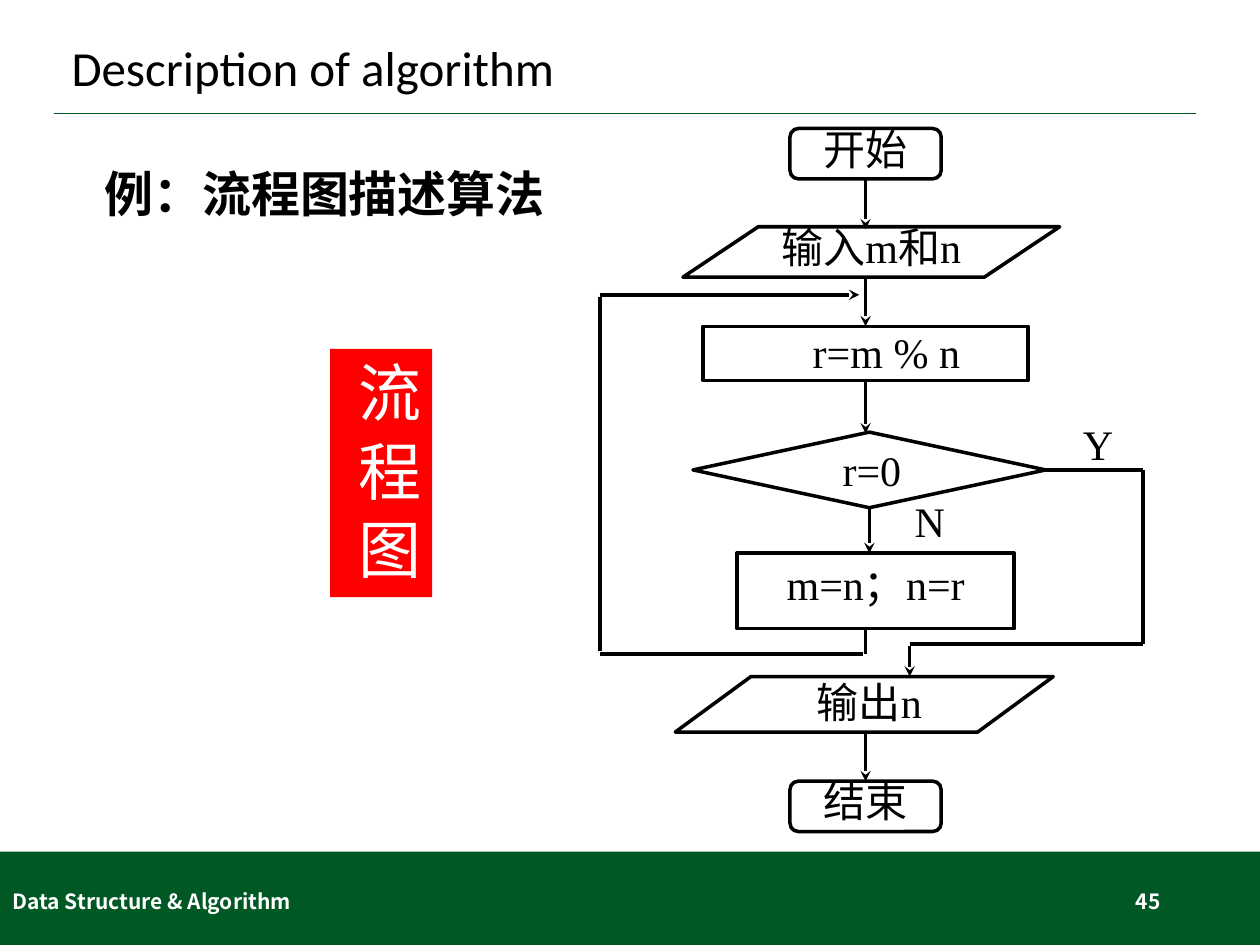
"""Build a slide showing the flowchart of the Euclidean algorithm."""
from dataclasses import dataclass
from typing import Optional

import pptx
import pptx.dml.color
import pptx.enum.shapes
import pptx.enum.text
import pptx.oxml
import pptx.oxml.ns
import pptx.util

Inches = pptx.util.Inches
Pt = pptx.util.Pt
Kind = pptx.enum.shapes.MSO_SHAPE
Align = pptx.enum.text.PP_ALIGN
Anchor = pptx.enum.text.MSO_ANCHOR

COLORS = {"green": "005825", "black": "000000", "white": "FFFFFF", "red": "FF0000"}
SERIF = "Times New Roman"
FOOTER_FONT = "Noto Sans CJK SC"
TOP, BOTTOM, RIGHT = 0, 2, 3
AXIS = 6.87
BRANCH = 6.9
OUTPUT_X = 7.22
LOOP_X = 4.76
EXIT_X = 9.07
EXIT_Y = 5.11


@dataclass
class TextStyle:
    size: float = 24
    font: str = SERIF
    color: str = "black"
    bold: bool = False
    align: Align = Align.CENTER
    anchor: Anchor = Anchor.TOP
    spacing: float = 1.0
    insets: tuple[float, float, float, float] = (0, 0, 0, 0)


@dataclass
class Label:
    text: str
    at: tuple[float, float, float, float]
    style: TextStyle


@dataclass
class Node:
    key: str
    kind: Kind
    at: tuple[float, float, float, float]
    text: str = ""
    spacing: float = 1.0
    insets: tuple[float, float, float, float] = (0.02, 0, 0.02, 0)


@dataclass
class Link:
    start: tuple[float, float]
    end: tuple[float, float]
    arrow: bool = False
    source: Optional[tuple[str, int]] = None
    target: Optional[tuple[str, int]] = None


def rgb(name: str) -> pptx.dml.color.RGBColor:
    return pptx.dml.color.RGBColor.from_string(COLORS[name])


def write_text(shape, text: str, style: TextStyle) -> None:
    frame = shape.text_frame
    frame.text = text
    frame.word_wrap = True
    frame.vertical_anchor = style.anchor
    left, top, right, bottom = style.insets
    frame.margin_left, frame.margin_top = Inches(left), Inches(top)
    frame.margin_right, frame.margin_bottom = Inches(right), Inches(bottom)
    paragraph = frame.paragraphs[0]
    paragraph.alignment = style.align
    paragraph.line_spacing = style.spacing
    for run in paragraph.runs:
        run.font.size = Pt(style.size)
        run.font.name = style.font
        run.font.bold = style.bold
        run.font.color.rgb = rgb(style.color)


def add_label(slide, label: Label) -> None:
    box = slide.shapes.add_textbox(*map(Inches, label.at))
    write_text(box, label.text, label.style)


def add_block(slide, at: tuple[float, float, float, float], color: str):
    block = slide.shapes.add_shape(Kind.RECTANGLE, *map(Inches, at))
    block.shadow.inherit = False
    block.fill.solid()
    block.fill.fore_color.rgb = rgb(color)
    block.line.fill.background()
    return block


def add_node(slide, node: Node):
    shape = slide.shapes.add_shape(node.kind, *map(Inches, node.at))
    shape.shadow.inherit = False
    shape.fill.background()
    shape.line.color.rgb = rgb("black")
    shape.line.width = Pt(2)
    if node.text:
        write_text(shape, node.text, TextStyle(spacing=node.spacing, insets=node.insets))
    return shape


def add_link(slide, link: Link, nodes: dict, color: str = "black", width: float = 2) -> None:
    line = slide.shapes.add_connector(
        pptx.enum.shapes.MSO_CONNECTOR.STRAIGHT, *map(Inches, link.start + link.end))
    if link.source:
        line.begin_connect(nodes[link.source[0]], link.source[1])
    if link.target:
        line.end_connect(nodes[link.target[0]], link.target[1])
    line.line.color.rgb = rgb(color)
    line.line.width = Pt(width)
    if link.arrow:
        head = pptx.oxml.parse_xml(f'<a:tailEnd {pptx.oxml.ns.nsdecls("a")} type="stealth"/>')
        line.get_or_add_ln().append(head)
    no_effects = pptx.oxml.parse_xml(f'<a:effectLst {pptx.oxml.ns.nsdecls("a")}/>')
    line.element.spPr.append(no_effects)


PADDING = (0.1, 0.05, 0.1, 0.05)
FOOTER = dict(size=12, font=FOOTER_FONT, color="white", bold=True, anchor=Anchor.MIDDLE,
              insets=PADDING)
LABELS = [
    Label("Description of algorithm", (0.47, 0.23, 9.06, 0.66),
          TextStyle(28, "Calibri", align=Align.LEFT, anchor=Anchor.MIDDLE, spacing=0.9,
                    insets=PADDING)),
    Label("例：流程图描述算法", (0.73, 1.25, 5.28, 0.57),
          TextStyle(28, "Arial", bold=True, align=Align.LEFT, insets=PADDING)),
    Label("Data Structure & Algorithm", (0, 6.95, 3.38, 0.4),
          TextStyle(align=Align.LEFT, **FOOTER)),
    Label("45", (7.06, 6.95, 2.25, 0.4), TextStyle(align=Align.RIGHT, **FOOTER)),
    Label("r=0", (6.65, 3.53, 0.54, 0.32), TextStyle()),
    Label("N", (7.25, 3.93, 0.26, 0.33), TextStyle()),
    Label("Y", (8.5, 3.32, 0.43, 0.33), TextStyle()),
]
TERMINAL = dict(kind=Kind.FLOWCHART_ALTERNATE_PROCESS, spacing=0.85, insets=(0.06, 0, 0.06, 0))
NODES = [
    Node("start", at=(6.27, 1.02, 1.2, 0.4), text="开始", **TERMINAL),
    Node("input", Kind.FLOWCHART_DATA, (5.42, 1.8, 2.99, 0.4), "输入m和n", 0.9),
    Node("remainder", Kind.FLOWCHART_PROCESS, (5.58, 2.59, 2.58, 0.43), "r=m % n",
         insets=(0.35, 0, 0.02, 0)),
    Node("test", Kind.FLOWCHART_DECISION, (5.5, 3.43, 2.8, 0.6)),
    Node("swap", Kind.FLOWCHART_PROCESS, (5.85, 4.39, 2.2, 0.6), "m=n；n=r", 0.8,
         (0.1, 0.12, 0.1, 0)),
    Node("output", Kind.FLOWCHART_DATA, (5.36, 5.37, 3, 0.44), "输出n",
         insets=(0.14, 0, 0.06, 0)),
    Node("end", at=(6.27, 6.2, 1.2, 0.4), text="结束", **TERMINAL),
]
LINKS = [
    Link((AXIS, 1.42), (AXIS, 1.82), True, source=("start", BOTTOM)),
    Link((AXIS, 2.2), (AXIS, 2.59), True, target=("remainder", TOP)),
    Link((AXIS, 3.02), (AXIS, 3.44), True, source=("remainder", BOTTOM)),
    Link((BRANCH, 4.03), (BRANCH, 4.39), True, source=("test", BOTTOM)),
    Link((AXIS, 5.8), (AXIS, 6.2), True, target=("end", TOP)),
    Link((8.3, 3.73), (EXIT_X, 3.73), source=("test", RIGHT)),
    Link((EXIT_X, 3.73), (EXIT_X, EXIT_Y)),
    Link((OUTPUT_X, EXIT_Y), (EXIT_X, EXIT_Y)),
    Link((OUTPUT_X, 5.13), (OUTPUT_X, 5.37), True),
    Link((AXIS, 4.99), (AXIS, 5.19)),
    Link((6.85, 5.19), (LOOP_X, 5.19)),
    Link((LOOP_X, 5.17), (LOOP_X, 2.36)),
    Link((LOOP_X, 2.34), (6.82, 2.34), True),
]


def main() -> None:
    deck = pptx.Presentation()
    deck.slide_width, deck.slide_height = Inches(10), Inches(7.5)
    slide = deck.slides.add_slide(deck.slide_layouts[6])
    add_block(slide, (0, 6.76, 10, 0.74), "green")
    add_link(slide, Link((0.43, 0.9), (9.49, 0.9)), {}, "green", 1)
    nodes = {node.key: add_node(slide, node) for node in NODES}
    for link in LINKS:
        add_link(slide, link, nodes)
    banner = add_block(slide, (2.62, 2.77, 0.81, 1.97), "red")
    write_text(banner, "流 程 图", TextStyle(36, color="white", insets=PADDING))
    banner.text_frame.word_wrap = True
    banner.element.txBody.find(pptx.oxml.ns.qn("a:bodyPr")).set("vert", "eaVert")
    for label in LABELS:
        add_label(slide, label)
    deck.save("out.pptx")


if __name__ == "__main__":
    main()
